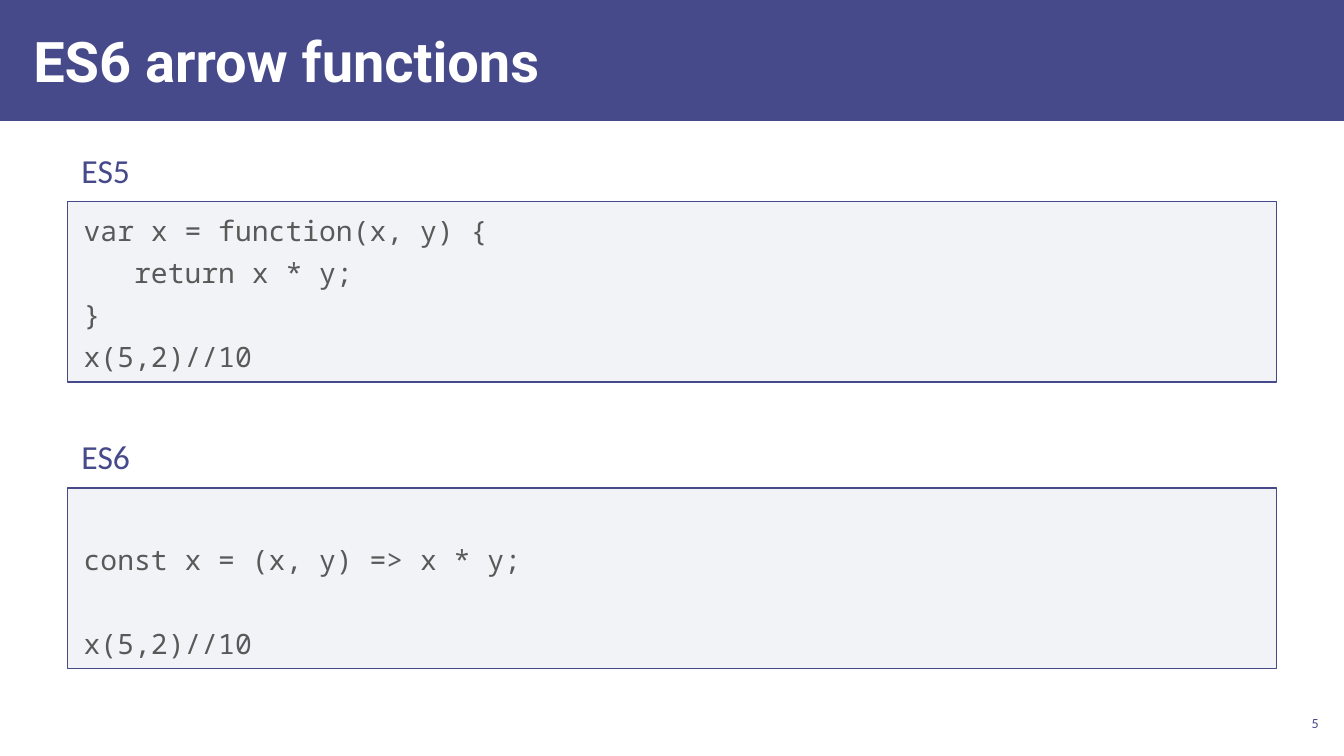
"""Build the slide comparing ES5 functions with ES6 arrow functions."""
from lxml import etree
from pptx import Presentation
from pptx.dml.color import RGBColor
from pptx.enum.shapes import MSO_SHAPE
from pptx.enum.text import MSO_ANCHOR, PP_ALIGN
from pptx.oxml.ns import qn
from pptx.util import Inches, Pt

RECT = MSO_SHAPE.RECTANGLE
TOP, MIDDLE = MSO_ANCHOR.TOP, MSO_ANCHOR.MIDDLE
LEFT, RIGHT = PP_ALIGN.LEFT, PP_ALIGN.RIGHT
INDIGO = RGBColor(0x47, 0x4A, 0x8A)
PALE = RGBColor(0xAC, 0xB4, 0xC3)
GRAY = RGBColor(0x59, 0x59, 0x59)
WHITE = RGBColor(0xFF, 0xFF, 0xFF)


def write(sp, lines, size, color, font="Calibri", bold=False, align=LEFT,
          anchor=TOP, insets=(0.1, 0.1), top=None, spacing=None, gaps=None):
    tf = sp.text_frame
    tf.word_wrap = True
    tf.vertical_anchor = anchor
    tf.margin_left = tf.margin_right = Inches(insets[0])
    tf.margin_top = Inches(insets[1] if top is None else top)
    tf.margin_bottom = Inches(insets[1])
    for i, line in enumerate(lines):
        p = tf.paragraphs[0] if i == 0 else tf.add_paragraph()
        p.alignment = align
        if spacing:
            p.line_spacing = Pt(spacing)
        if gaps and i:
            p.space_before = Pt(gaps[i - 1])
        r = p.add_run()
        r.text = line
        r.font.size = Pt(size)
        r.font.name = font
        r.font.bold = bold
        r.font.color.rgb = color


prs = Presentation()
prs.slide_width, prs.slide_height = Inches(13.33), Inches(7.5)
s = prs.slides.add_slide(prs.slide_layouts[5])

banner = s.shapes.add_shape(RECT, 0, 0, prs.slide_width, Inches(1.2))
banner.shadow.inherit = False
banner.fill.solid()
banner.fill.fore_color.rgb = INDIGO
banner.line.fill.background()

title = s.shapes.title
banner._element.addnext(title._element)
title.left, title.top = Inches(0.21), Inches(0.11)
title.width, title.height = Inches(10.4), Inches(0.97)
write(title, ["ES6 arrow functions"], 40, WHITE, font="Roboto", bold=True,
      anchor=MIDDLE, insets=(0.12, 0.04))

number = s.shapes.add_textbox(Inches(12.65), Inches(7), Inches(0.47), Inches(0.34))
write(number, ["5"], 10, INDIGO, align=RIGHT, anchor=MIDDLE, insets=(0.04, 0.04))

examples = [
    ("ES5", 1.39, 2, 0.12, [6, 6, 6],
     ["var x = function(x, y) {", "   return x * y;", "}", "x(5,2)//10"]),
    ("ES6", 4.22, 4.84, 0.54, [36],
     ["const x = (x, y) => x * y;", "x(5,2)//10"]),
]
for label, label_top, code_top, inset_top, gaps, code in examples:
    sp = s.shapes.add_shape(RECT, Inches(0.67), Inches(code_top),
                            Inches(11.99), Inches(1.79))
    sp.shadow.inherit = False
    sp.fill.solid()
    sp.fill.fore_color.rgb = PALE
    fill_color = sp._element.spPr.find(qn("a:solidFill"))[0]
    etree.SubElement(fill_color, qn("a:alpha"), val="15000")
    sp.line.color.rgb = INDIGO
    sp.line.width = Pt(1)
    write(sp, code, 20, GRAY, font="Noto Sans Mono", insets=(0.16, 0.12),
          top=inset_top, spacing=24, gaps=gaps)
    heading = s.shapes.add_textbox(Inches(0.71), Inches(label_top),
                                   Inches(1.49), Inches(0.48))
    write(heading, [label], 24, INDIGO)

prs.save("out.pptx")
